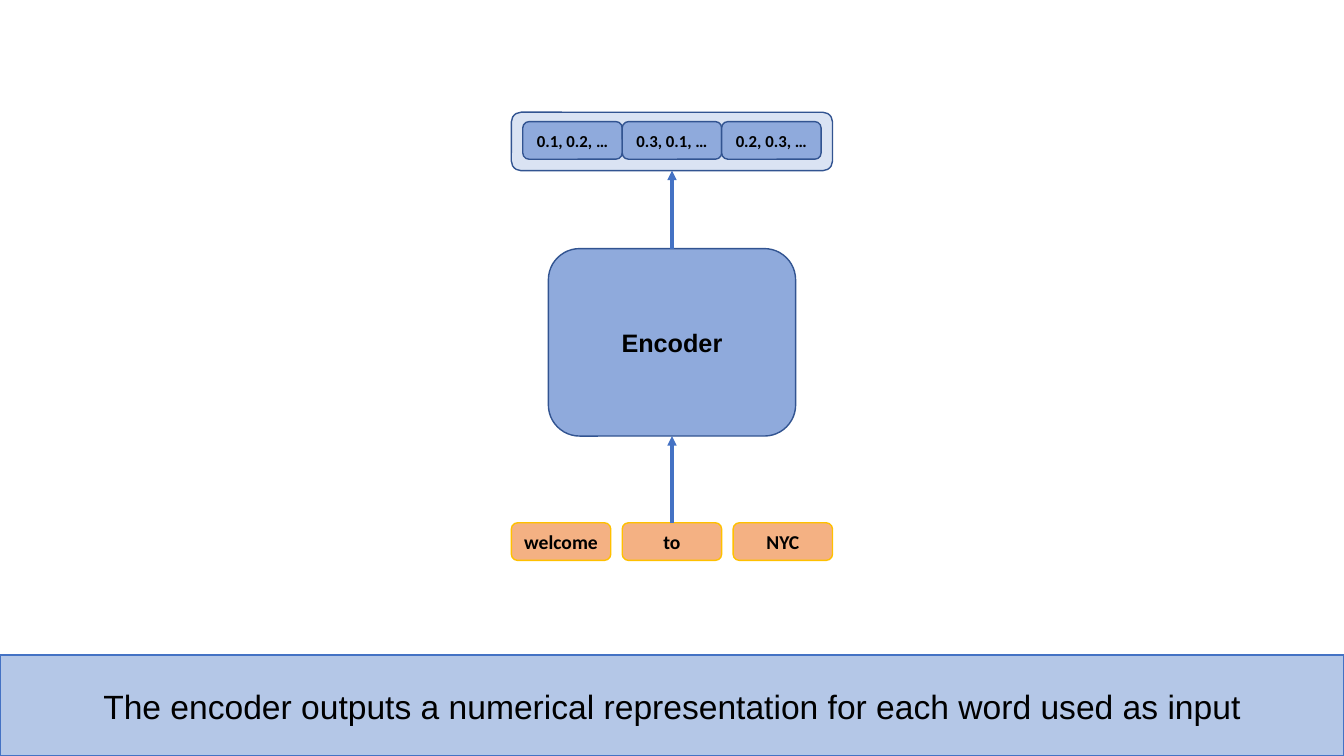
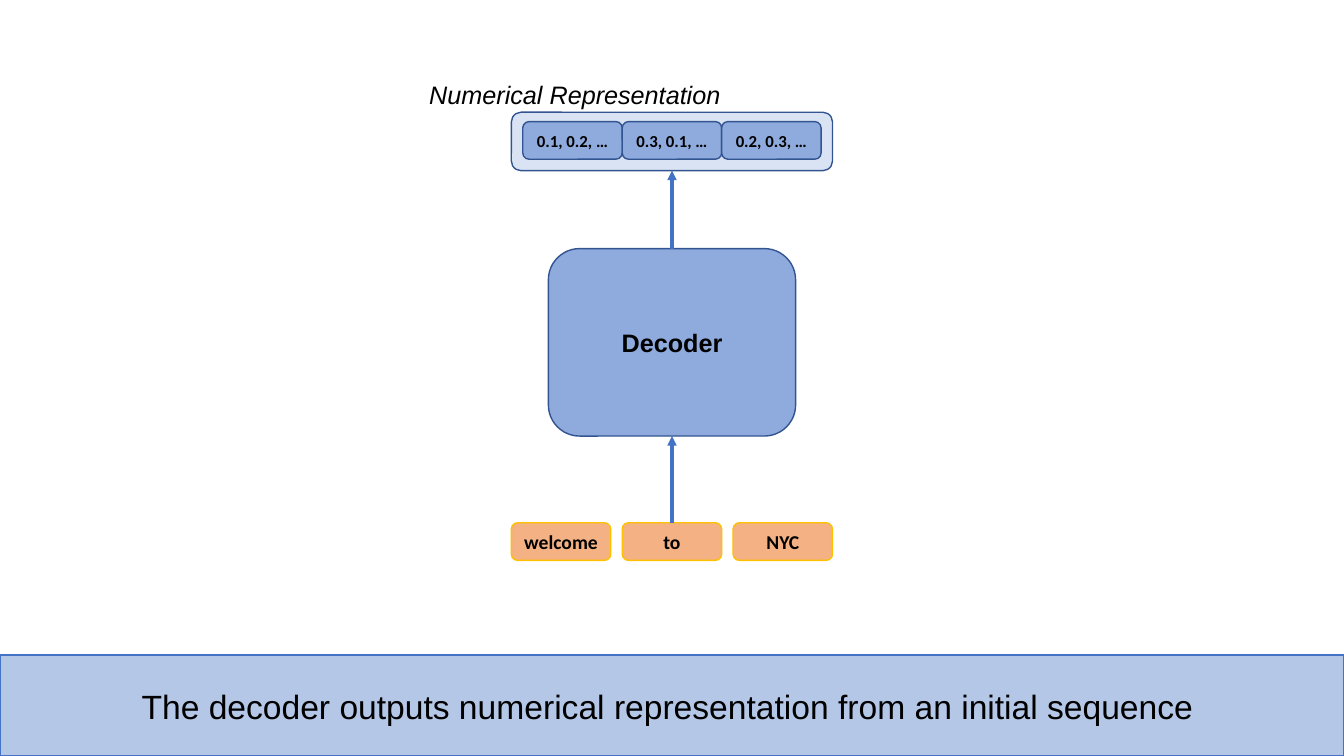
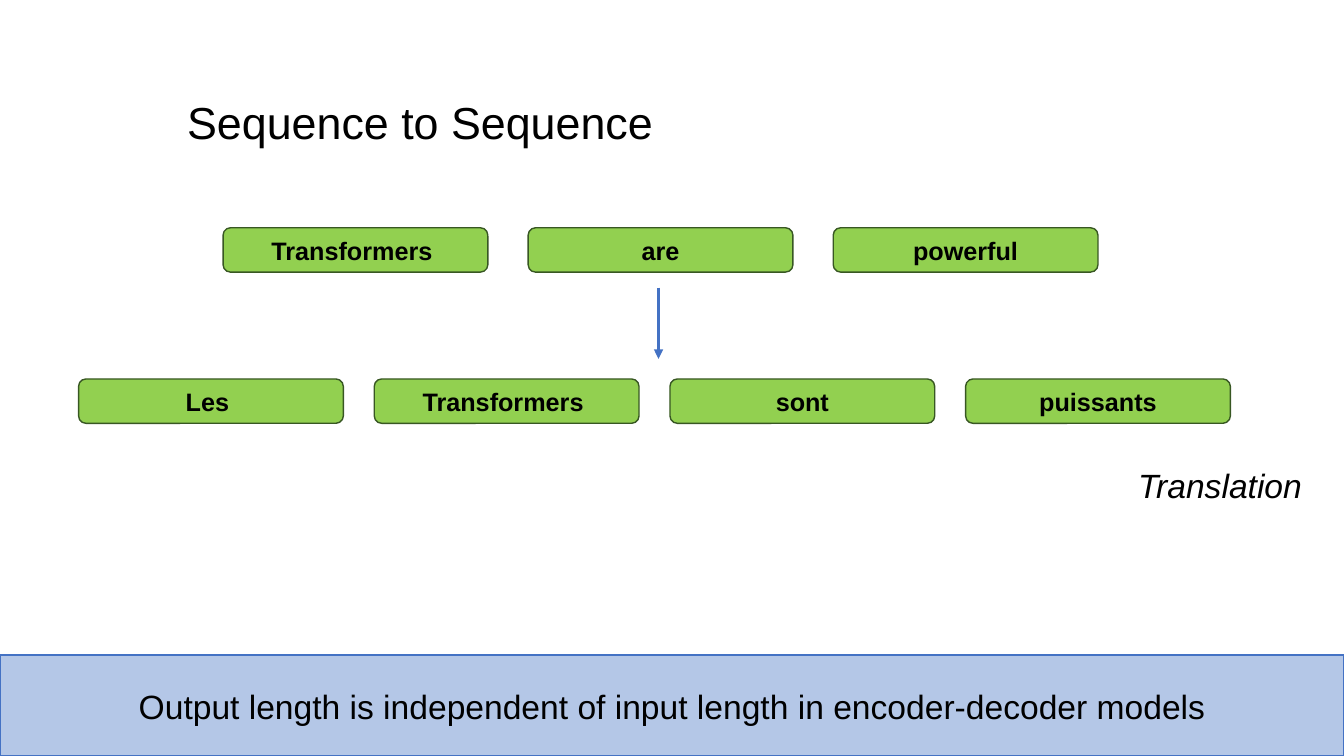
from dataclasses import dataclass
from typing import Any

from lxml.etree import SubElement
from pptx import Presentation
from pptx.dml.color import RGBColor
from pptx.enum.shapes import MSO_CONNECTOR, MSO_SHAPE
from pptx.enum.text import MSO_ANCHOR, MSO_AUTO_SIZE, PP_ALIGN
from pptx.oxml.ns import qn
from pptx.shapes.autoshape import Shape
from pptx.shapes.connector import Connector
from pptx.slide import Slide
from pptx.util import Emu, Pt

# Scale: 150 px to the inch
EMU_PER_PX = 6096
SLIDE_W, SLIDE_H = 2000, 1125
CENTER_X = SLIDE_W // 2

# Colours
BLACK = RGBColor(0x00, 0x00, 0x00)
ARROW_BLUE = RGBColor(0x44, 0x72, 0xC4)
BAND_BLUE = RGBColor(0xB4, 0xC7, 0xE7)
TRAY_BLUE = RGBColor(0xDA, 0xE3, 0xF3)
MODEL_BLUE = RGBColor(0x8F, 0xAA, 0xDC)
EDGE_BLUE = RGBColor(0x32, 0x54, 0x91)
WORD_ORANGE = RGBColor(0xF4, 0xB1, 0x83)
WORD_EDGE = RGBColor(0xFF, 0xC0, 0x00)
TOKEN_GREEN = RGBColor(0x92, 0xD0, 0x50)
TOKEN_EDGE = RGBColor(0x38, 0x57, 0x23)

# Font formats
Format = dict[str, Any]
CAPTION: Format = {"name": "Arial", "size": Pt(24)}
TITLE: Format = {"name": "Arial", "size": Pt(32)}
LABEL: Format = {"name": "Arial", "size": Pt(18), "bold": True}
WORD: Format = {"name": "Calibri", "size": Pt(14), "bold": True}
VECTOR: Format = {"name": "Calibri", "size": Pt(12), "bold": True}
NOTE: Format = {"name": "Arial", "size": Pt(18), "italic": True}
TASK: Format = {"name": "Arial", "size": Pt(24), "italic": True}


@dataclass(frozen=True)
class Box:
    left: int
    top: int
    width: int
    height: int

    def emu(self) -> tuple[Emu, Emu, Emu, Emu]:
        return px(self.left), px(self.top), px(self.width), px(self.height)


@dataclass(frozen=True)
class Look:
    fill: RGBColor
    edge: RGBColor
    font: Format
    preset: MSO_SHAPE = MSO_SHAPE.ROUNDED_RECTANGLE


@dataclass(frozen=True)
class Row:
    first: Box
    pitch: int
    look: Look
    texts: tuple[str, ...]


BAND = Look(BAND_BLUE, ARROW_BLUE, CAPTION, MSO_SHAPE.RECTANGLE)
TRAY = Look(TRAY_BLUE, EDGE_BLUE, LABEL)
MODEL = Look(MODEL_BLUE, EDGE_BLUE, LABEL)
NUMBERS = Look(MODEL_BLUE, EDGE_BLUE, VECTOR)
INPUT = Look(WORD_ORANGE, WORD_EDGE, WORD)
TOKEN = Look(TOKEN_GREEN, TOKEN_EDGE, LABEL)

VECTORS = Row(Box(778, 181, 148, 56), 148, NUMBERS,
              ("0.1, 0.2, …", "0.3, 0.1, …", "0.2, 0.3, …"))
WORDS = Row(Box(761, 778, 148, 56), 165, INPUT, ("welcome", "to", "NYC"))
ENGLISH = Row(Box(332, 339, 394, 66), 454, TOKEN,
              ("Transformers ", "are", "powerful"))
FRENCH = Row(Box(117, 564, 394, 66), 440, TOKEN,
             ("Les ", "Transformers ", "sont", "puissants"))


def px(length: int) -> Emu:
    return Emu(length * EMU_PER_PX)


def write(shape: Shape, text: str, font_format: Format,
          align: PP_ALIGN = PP_ALIGN.CENTER) -> None:
    paragraph = shape.text_frame.paragraphs[0]
    paragraph.alignment = align
    run = paragraph.add_run()
    run.text = text
    for attribute, value in font_format.items():
        setattr(run.font, attribute, value)
    run.font.color.rgb = BLACK


def draw_box(slide: Slide, box: Box, look: Look, text: str = "") -> Shape:
    shape = slide.shapes.add_shape(look.preset, *box.emu())
    shape.shadow.inherit = False
    shape.fill.solid()
    shape.fill.fore_color.rgb = look.fill
    shape.line.color.rgb = look.edge
    shape.line.width = Pt(1)
    if text:
        shape.text_frame.vertical_anchor = MSO_ANCHOR.MIDDLE
        write(shape, text, look.font)
    return shape


def draw_row(slide: Slide, row: Row) -> list[Shape]:
    first = row.first
    return [
        draw_box(slide, Box(first.left + i * row.pitch, first.top,
                            first.width, first.height), row.look, text)
        for i, text in enumerate(row.texts)
    ]


def draw_arrow(slide: Slide, x: int, start: int, end: int) -> Connector:
    arrow = slide.shapes.add_connector(
        MSO_CONNECTOR.STRAIGHT, px(x), px(start), px(x), px(end))
    arrow.line.color.rgb = ARROW_BLUE
    arrow.line.width = Pt(2.25)
    properties = arrow.element.spPr
    SubElement(properties.find(qn("a:ln")), qn("a:tailEnd"), type="triangle")
    SubElement(properties, qn("a:effectLst"))
    return arrow


def join_upward(slide: Slide, lower: Shape, upper: Shape) -> None:
    arrow = draw_arrow(slide, CENTER_X, lower.top // EMU_PER_PX,
                       (upper.top + upper.height) // EMU_PER_PX)
    arrow.begin_connect(lower, 0)
    arrow.end_connect(upper, 2)


def draw_note(slide: Slide, box: Box, text: str, font_format: Format) -> None:
    note = slide.shapes.add_textbox(*box.emu())
    note.text_frame.word_wrap = False
    note.text_frame.auto_size = MSO_AUTO_SIZE.SHAPE_TO_FIT_TEXT
    write(note, text, font_format, PP_ALIGN.LEFT)


def draw_title(slide: Slide, box: Box, text: str) -> None:
    title = slide.shapes.title
    title.left, title.top, title.width, title.height = box.emu()
    frame_format = {"word_wrap": False, "auto_size": MSO_AUTO_SIZE.NONE,
                    "vertical_anchor": MSO_ANCHOR.TOP}
    for attribute, value in frame_format.items():
        setattr(title.text_frame, attribute, value)
    write(title, text, TITLE)


def draw_band(slide: Slide, caption: str) -> None:
    draw_box(slide, Box(0, 975, SLIDE_W, 150), BAND, caption)


def draw_model(slide: Slide, name: str, caption: str) -> None:
    draw_band(slide, caption)
    tray = draw_box(slide, Box(761, 167, 478, 87), TRAY)
    model = draw_box(slide, Box(816, 370, 368, 279), MODEL, name)
    middle_word = draw_row(slide, WORDS)[1]
    draw_row(slide, VECTORS)
    join_upward(slide, middle_word, model)
    join_upward(slide, model, tray)


def main() -> None:
    deck = Presentation()
    deck.slide_width, deck.slide_height = px(SLIDE_W), px(SLIDE_H)
    title_only, blank = deck.slide_layouts[5], deck.slide_layouts[6]

    # Encoder
    encoder = deck.slides.add_slide(blank)
    draw_model(encoder, "Encoder", "The encoder outputs a numerical "
               "representation for each word used as input")

    # Decoder
    decoder = deck.slides.add_slide(blank)
    draw_model(decoder, "Decoder", "The decoder outputs numerical "
               "representation from an initial sequence ")
    draw_note(decoder, Box(624, 111, 468, 60),
              "Numerical Representation", NOTE)

    # Sequence to sequence
    translation = deck.slides.add_slide(title_only)
    draw_band(translation, "Output length is independent of input length "
              "in encoder-decoder models")
    draw_title(translation, Box(261, 134, 729, 96), "Sequence to Sequence")
    for row in (ENGLISH, FRENCH):
        draw_row(translation, row)
    draw_arrow(translation, 980, 428, 534)
    draw_note(translation, Box(1679, 684, 276, 75), "Translation", TASK)

    deck.save("out.pptx")


if __name__ == "__main__":
    main()
